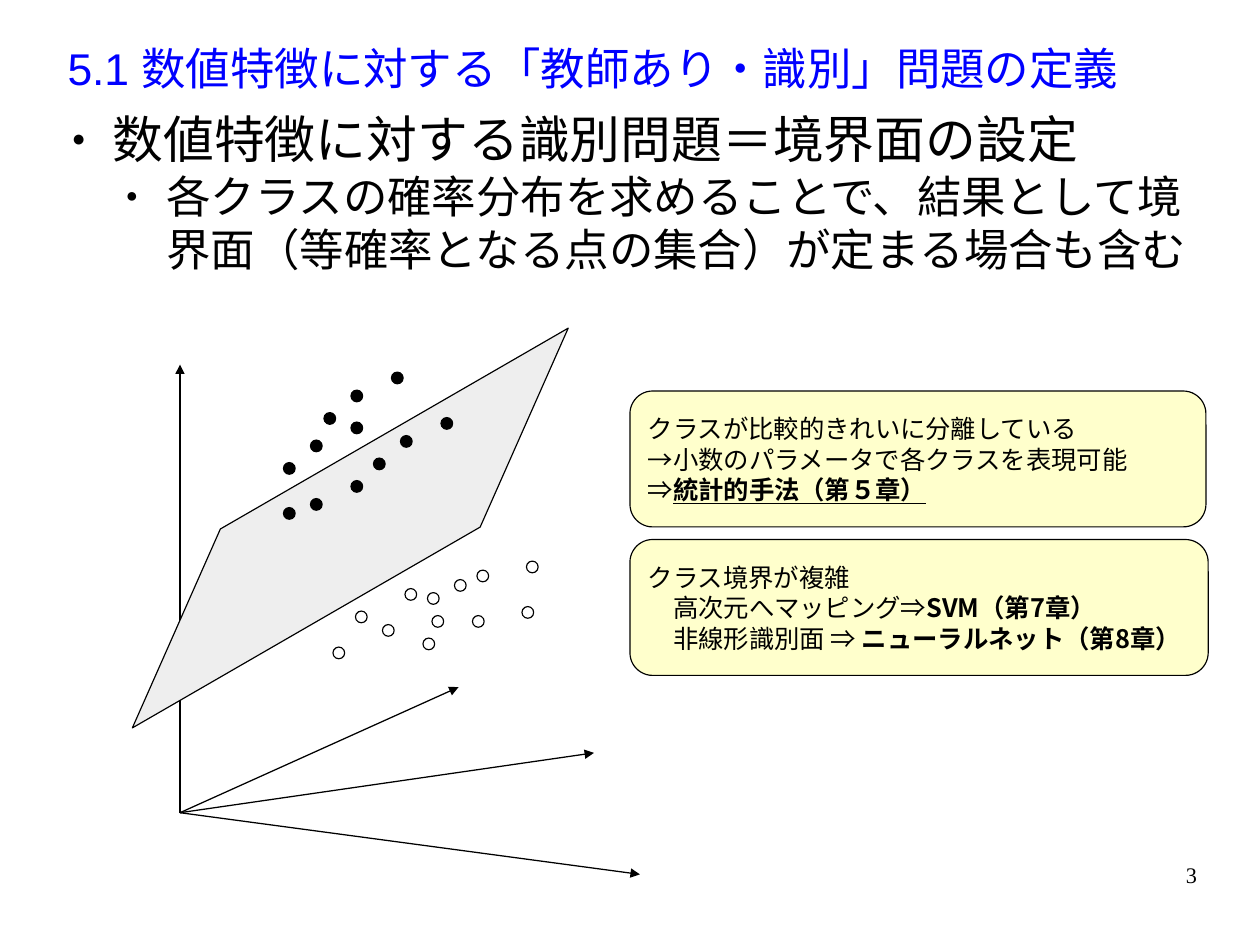
from lxml.etree import SubElement
from pptx import Presentation
from pptx.dml.color import RGBColor
from pptx.enum.shapes import MSO_CONNECTOR as Connector, MSO_SHAPE as Shape
from pptx.enum.text import MSO_ANCHOR as Anchor, MSO_AUTO_SIZE as AutoSize, PP_ALIGN as Align
from pptx.oxml.ns import qn
from pptx.util import Cm, Pt

COLUMNS, ROWS = 28, 21  # grid cells of one centimetre
COLORS = {"title": "0000FF", "ink": "000000", "plane": "EEEEEE", "note": "FFFFCC", "paper": "FFFFFF"}
GOTHIC, SANS, SERIF = "Noto Sans CJK JP", "Arial", "Times New Roman"


def color(name):
    return RGBColor.from_string(COLORS[name])


def add_run(paragraph, text, size=16, font=GOTHIC, ink="ink", bold=False, underline=False):
    run = paragraph.add_run()
    run.text = text
    run.font.size, run.font.name = Pt(size), font
    run.font.bold, run.font.underline = bold, underline
    run.font.color.rgb = color(ink)
    east_asian = SubElement(run.font._element, qn("a:ea"))
    east_asian.set("typeface", GOTHIC)


class SlideBuilder:
    def __init__(self, presentation):
        self.column = presentation.slide_width / COLUMNS
        self.row = presentation.slide_height / ROWS
        self.slide = presentation.slides.add_slide(presentation.slide_layouts[1])

    def cells(self, left, top, width, height):
        return (round(left * self.column), round(top * self.row),
                round(width * self.column), round(height * self.row))

    def frame(self, shape, anchor=Anchor.TOP, insets=(0, 0, 0, 0)):
        frame = shape.text_frame
        frame.word_wrap, frame.auto_size = True, AutoSize.NONE
        frame.vertical_anchor = anchor
        frame.margin_left, frame.margin_top, frame.margin_right, frame.margin_bottom = map(Cm, insets)
        return frame

    def place(self, shape, area):
        shape.left, shape.top, shape.width, shape.height = self.cells(*area)

    def title(self, area, text):
        shape = self.slide.shapes.title
        self.place(shape, area)
        paragraph = self.frame(shape, Anchor.MIDDLE).paragraphs[0]
        paragraph.alignment = Align.LEFT
        add_run(paragraph, text, size=28, font=SANS, ink="title")

    def bullets(self, area, items):
        shape = self.slide.placeholders[1]
        self.place(shape, area)
        frame = self.frame(shape)
        for level, (text, size) in enumerate(items):
            paragraph = frame.add_paragraph() if level else frame.paragraphs[0]
            paragraph.level, paragraph.space_before = level, Pt(0)
            properties = paragraph._p.get_or_add_pPr()
            properties.set("marL", str(Cm(1.2 * (level + 1))))
            properties.set("indent", str(-Cm(0.9)))
            for tag, key, value in (("a:buSzPct", "val", "45000"), ("a:buFont", "typeface", SANS),
                                    ("a:buChar", "char", "●")):
                SubElement(properties, qn(tag)).set(key, value)
            add_run(paragraph, text, size=size)

    def shape(self, kind, area, fill, adjustment=None, rotation=0):
        shape = self.slide.shapes.add_shape(kind, *self.cells(*area))
        shape.shadow.inherit = False
        shape.fill.solid()
        shape.fill.fore_color.rgb = color(fill)
        shape.line.color.rgb, shape.line.width = color("ink"), Pt(0)
        shape.rotation = rotation
        if adjustment is not None:
            shape.adjustments[0] = adjustment
        return shape

    def arrow(self, start, end):
        arrow = self.slide.shapes.add_connector(
            Connector.STRAIGHT, *self.cells(*start, *end))
        arrow.line.color.rgb, arrow.line.width = color("ink"), Pt(0.79)
        SubElement(arrow.line._get_or_add_ln(), qn("a:tailEnd")).set("type", "triangle")
        SubElement(arrow._element.spPr, qn("a:effectLst"))

    def points(self, anchors, steps, fill):
        for x, y in anchors:
            for step_x, step_y in steps:
                self.shape(Shape.OVAL, (x + step_x, y + step_y, 0.26, 0.26), fill)

    def note(self, area, lines):
        shape = self.shape(Shape.ROUNDED_RECTANGLE, area, "note", adjustment=0.167)
        frame = self.frame(shape, Anchor.MIDDLE, insets=(0.25, 0.13, 0, 0.13))
        for index, (plain, strong, underline) in enumerate(lines):
            paragraph = frame.add_paragraph() if index else frame.paragraphs[0]
            paragraph.alignment = Align.LEFT
            add_run(paragraph, plain)
            if strong:
                add_run(paragraph, strong, bold=True, underline=underline)

    def page_number(self, area, text):
        box = self.slide.shapes.add_textbox(*self.cells(*area))
        paragraph = self.frame(box).paragraphs[0]
        paragraph.alignment = Align.RIGHT
        add_run(paragraph, text, size=14, font=SERIF)


def main():
    presentation = Presentation()
    presentation.slide_width, presentation.slide_height = Cm(COLUMNS), Cm(ROWS)
    builder = SlideBuilder(presentation)

    # Heading and list
    builder.title((1.5, 0.5, 25.2, 2), "5.1 数値特徴に対する「教師あり・識別」問題の定義")
    builder.bullets((1.3, 2.4, 25.3, 17.1), [
        ("数値特徴に対する識別問題＝境界面の設定", 32),
        ("各クラスの確率分布を求めることで、結果として境界面（等確率となる点の集合）が定まる場合も含む", 28),
    ])

    # Feature axes, with the boundary plane over the vertical one
    origin = (4, 18.06)
    builder.arrow(origin, (4, 8.1))
    builder.shape(Shape.PARALLELOGRAM, (1.37, 10.31, 12.83, 2.85), "plane", adjustment=1.37, rotation=330)
    for tip in ((13.2, 16.73), (14.22, 19.43), (10.19, 15.27)):
        builder.arrow(origin, tip)

    # Two classes of points, in groups of three
    builder.points([(6.3, 11.28)], [(0, 0), (0.6, -0.2), (1.5, -0.6)], "ink")
    builder.points([(6.3, 10.28), (7.2, 9.17), (8.3, 10.18)], [(0, 0), (0.6, -0.5), (1.5, -0.9)], "ink")
    builder.points([(11.6, 13.48), (10.1, 12.88), (9.6, 13.68), (11.7, 12.47)],
                   [(0, 0), (-1.1, 0.2), (-2.2, 0.7)], "paper")

    # Notes on the methods
    builder.note((14, 8.69, 12.8, 3.02), [
        ("クラスが比較的きれいに分離している", "", False),
        ("→小数のパラメータで各クラスを表現可能", "", False),
        ("⇒", "統計的手法（第５章）", True),
    ])
    builder.note((14, 11.99, 12.85, 3.02), [
        ("クラス境界が複雑", "", False),
        ("　高次元へマッピング⇒", "SVM（第7章）", False),
        ("　非線形識別面 ⇒ ", "ニューラルネット（第8章）", False),
    ])

    builder.page_number((20.07, 19.13, 6.53, 1.45), "3")
    presentation.save("out.pptx")


if __name__ == "__main__":
    main()
